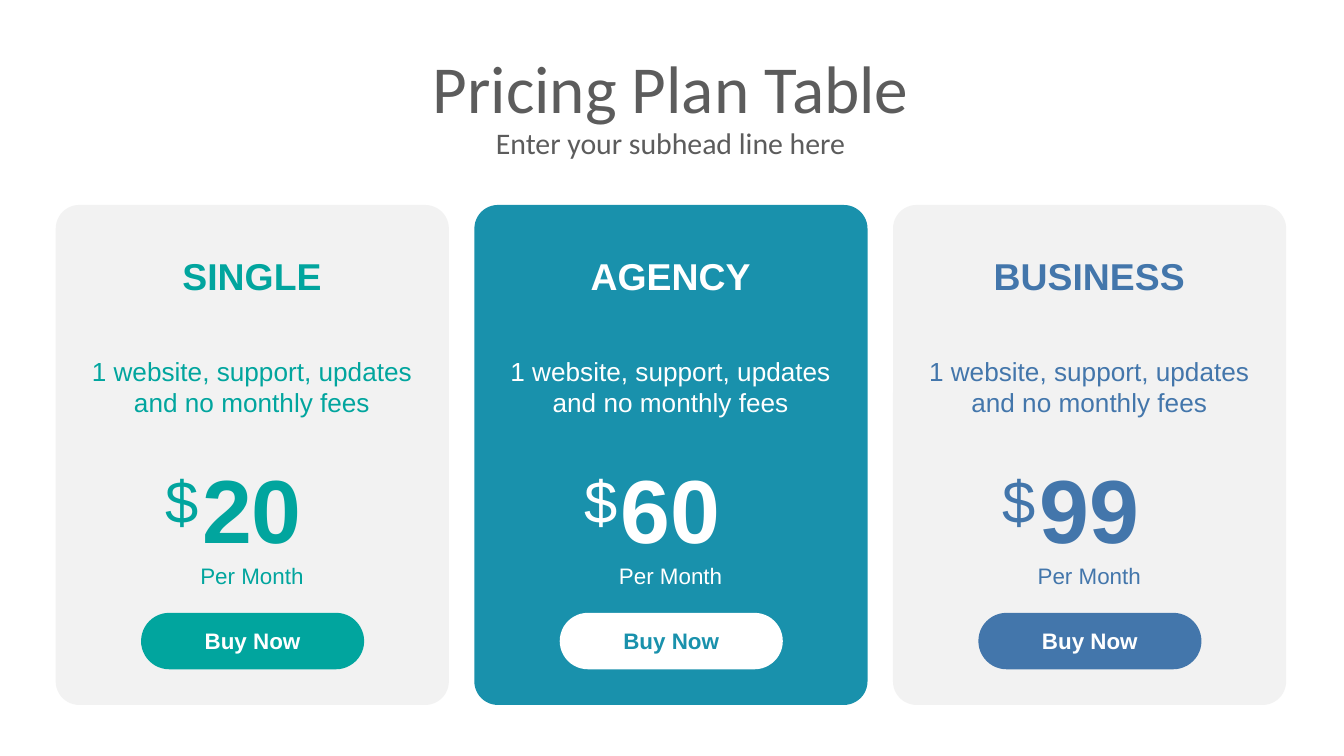
import pptx
import pptx.dml.color
import pptx.enum.shapes
import pptx.enum.text
import pptx.util

PX = 4572  # EMU per px, 200 px to the inch
GREY, PALE, WHITE = "5C5C5C", "F2F2F2", "FFFFFF"
TEAL, CYAN, BLUE = "01A59E", "1991AC", "4376AB"


def color(hex_string):
    return pptx.dml.color.RGBColor.from_string(hex_string)


class PricingSlide:
    heading_font = "Calibri"
    body_font = "Arial"

    def __init__(self, width, height):
        self.presentation = pptx.Presentation()
        self.presentation.slide_width = width * PX
        self.presentation.slide_height = height * PX
        self.slide = self.presentation.slides.add_slide(self.presentation.slide_layouts[6])
        self.shapes = self.slide.shapes

    def start_group(self):
        self.shapes = self.slide.shapes.add_group_shape().shapes

    def style(self, font, size, ink, bold=False, name=None):
        font.name = name or self.body_font
        font.size = pptx.util.Pt(size)
        font.bold = bold
        font.color.rgb = color(ink)

    def text(self, box, lines, ink, name=None, wrap=True, middle=False):
        """Place centred lines, each given as (text, size, bold)."""
        shape = self.shapes.add_textbox(*(value * PX for value in box))
        frame = shape.text_frame
        frame.margin_left = frame.margin_top = frame.margin_right = frame.margin_bottom = 0
        frame.word_wrap = wrap
        if middle:
            frame.vertical_anchor = pptx.enum.text.MSO_ANCHOR.MIDDLE
        else:
            frame.auto_size = pptx.enum.text.MSO_AUTO_SIZE.SHAPE_TO_FIT_TEXT
        paragraph = frame.paragraphs[0]
        paragraph.alignment = pptx.enum.text.PP_ALIGN.CENTER
        for index, (words, size, bold) in enumerate(lines):
            if index:
                paragraph.add_line_break()
            run = paragraph.add_run()
            run.text = words
            # Lines of one paragraph differ in size, so each run has its font
            self.style(run.font, size, ink, bold, name)

    def panel(self, box, fill, rounding):
        shape = self.shapes.add_shape(
            pptx.enum.shapes.MSO_SHAPE.ROUNDED_RECTANGLE, *(value * PX for value in box))
        shape.adjustments[0] = rounding
        shape.shadow.inherit = False
        shape.fill.solid()
        shape.fill.fore_color.rgb = color(fill)
        shape.line.fill.background()
        return shape

    def button(self, box, label, fill, ink):
        frame = self.panel(box, fill, 0.5).text_frame
        frame.vertical_anchor = pptx.enum.text.MSO_ANCHOR.MIDDLE
        paragraph = frame.paragraphs[0]
        paragraph.text = label
        paragraph.alignment = pptx.enum.text.PP_ALIGN.CENTER
        self.style(paragraph.font, 12, ink, True)

    def plan(self, left, name, price, card_fill, ink, button_fill, button_ink):
        self.start_group()
        self.panel((left, 305, 585, 744), card_fill, 0.06)
        self.button((left + 127, 912, 332, 84), "Buy Now", button_fill, button_ink)
        self.text((left + 34, 377, 516, 68), [(name, 20, True)], ink)
        self.text((left + 34, 529, 516, 94),
                  [("1 website, support, updates and no monthly fees", 14, False)], ink)
        self.text((left + 215, 676, 154, 202),
                  [(price, 48, True), ("Per Month", 12, False)], ink, wrap=False)
        self.text((left + 163, 690, 50, 108), [("$", 32, False)], ink, wrap=False)


def main():
    page = PricingSlide(2000, 1125)

    # Heading
    page.text((83, 193, 1830, 38), [("Enter your subhead line here", 16, False)],
              GREY, page.heading_font, wrap=False, middle=True)
    page.text((83, 75, 1830, 108), [("Pricing Plan Table", 36, False)],
              GREY, page.heading_font, middle=True)

    # Plan cards: name, price, card fill, text, button fill, button text
    plans = [
        ("SINGLE", "20", PALE, TEAL, TEAL, WHITE),
        ("AGENCY", "60", CYAN, WHITE, WHITE, CYAN),
        ("BUSINESS", "99", PALE, BLUE, BLUE, WHITE),
    ]
    for index, plan in enumerate(plans):
        page.plan(83 + 623 * index, *plan)

    page.presentation.save("out.pptx")


if __name__ == "__main__":
    main()
